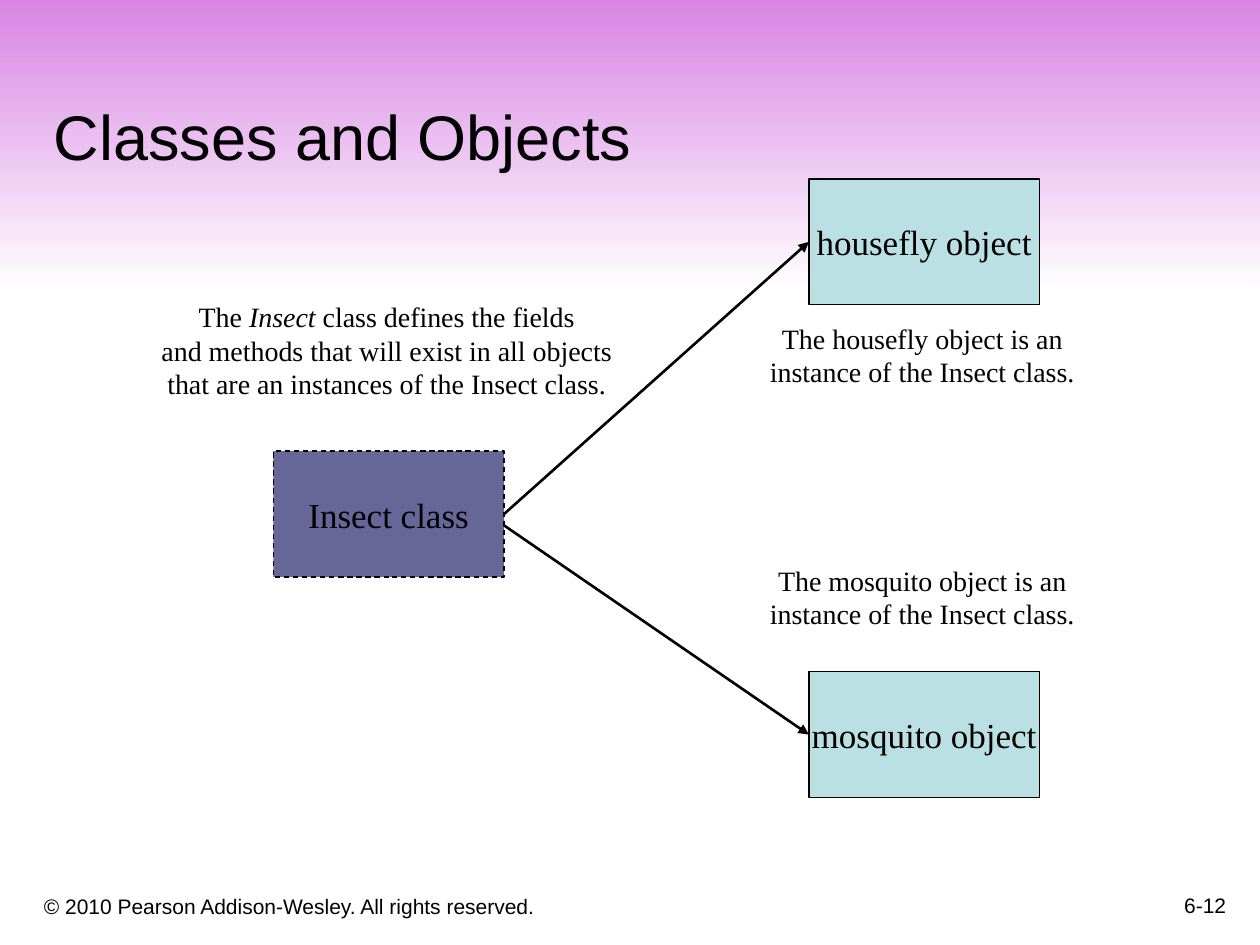
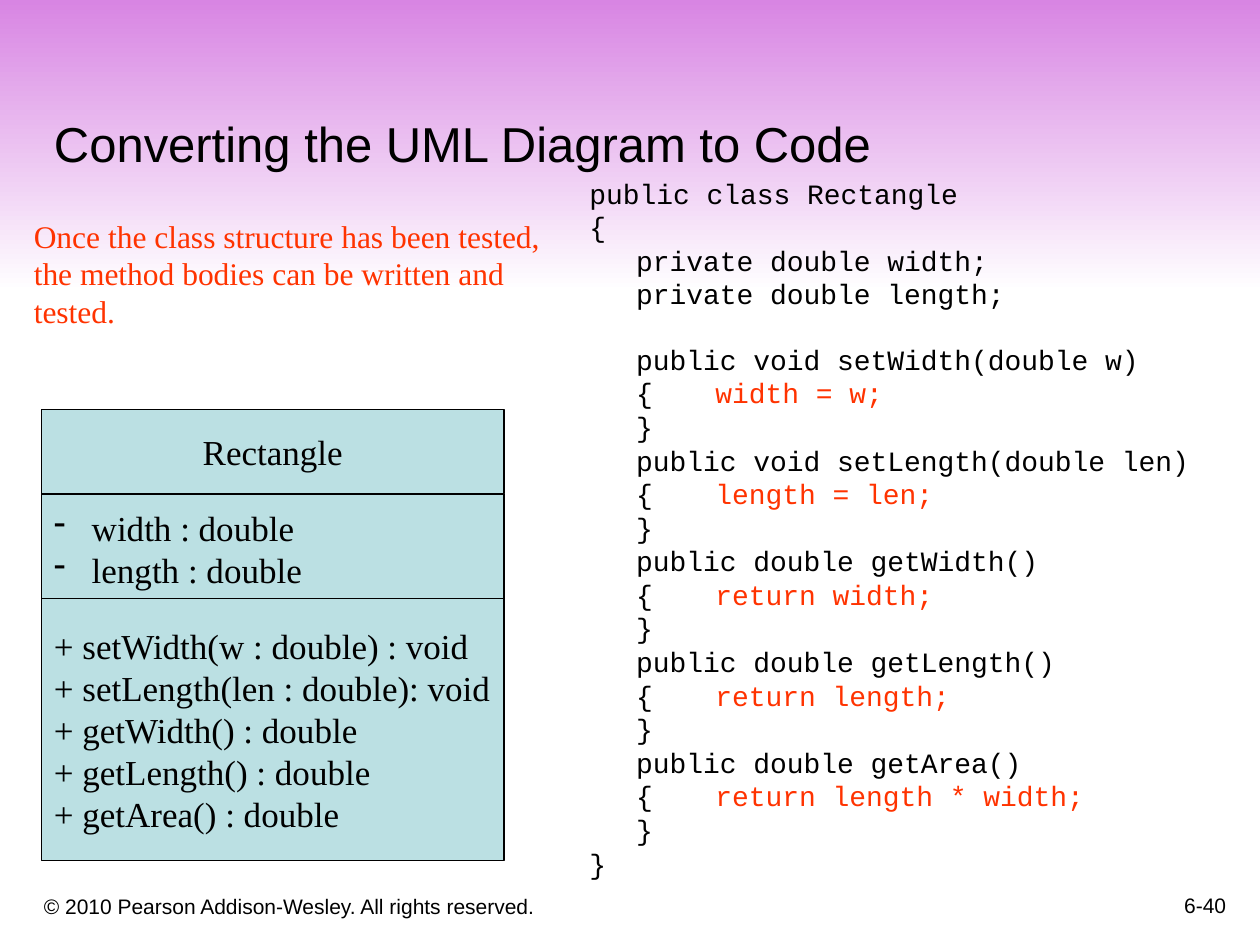
from lxml.etree import SubElement
from pptx import Presentation
from pptx.dml.color import RGBColor
from pptx.enum.dml import MSO_LINE
from pptx.enum.shapes import MSO_CONNECTOR, MSO_SHAPE
from pptx.enum.text import MSO_ANCHOR, PP_ALIGN
from pptx.oxml.ns import qn
from pptx.util import Inches, Pt

BLACK = RGBColor(0x00, 0x00, 0x00)
WHITE = RGBColor(0xFF, 0xFF, 0xFF)
RED = RGBColor(0xFF, 0x33, 0x00)
VIOLET = RGBColor(0xD8, 0x85, 0xE3)
SLATE = RGBColor(0x66, 0x66, 0x99)
PALE_BLUE = RGBColor(0xBB, 0xE0, 0xE3)
SANS, SERIF, MONO = "Arial", "Times New Roman", "Courier New"
COPYRIGHT = "© 2010 Pearson Addison-Wesley. All rights reserved."


def add_text(slide, paragraphs, left, top, width, height, size=20, font=SERIF,
             color=BLACK, align=PP_ALIGN.LEFT, anchor=MSO_ANCHOR.TOP, wrap=True,
             fill=None, dash=None, bullet=None, tabs=(), gaps=None):
    """Add a text box, or an outlined box if fill is given.

    A paragraph is a string or a list of (text, color, italic) runs;
    gaps maps a paragraph index to its space before, in points.
    """
    place = [Inches(length) for length in (left, top, width, height)]
    if fill is None:
        shape = slide.shapes.add_textbox(*place)
    else:
        shape = slide.shapes.add_shape(MSO_SHAPE.RECTANGLE, *place)
        shape.shadow.inherit = False
        shape.fill.solid()
        shape.fill.fore_color.rgb = fill
        shape.line.color.rgb = BLACK
        shape.line.width = Pt(0.75)
        if dash:
            shape.line.dash_style = dash
    frame = shape.text_frame
    frame.word_wrap = wrap
    frame.vertical_anchor = anchor
    for index, content in enumerate(paragraphs):
        paragraph = frame.add_paragraph() if index else frame.paragraphs[0]
        paragraph.alignment = align
        properties = paragraph._p.get_or_add_pPr()
        if bullet:
            properties.set("marL", str(Inches(0.3)))
            properties.set("indent", str(-Inches(0.3)))
            SubElement(properties, qn("a:buChar"), char=bullet)
        if tabs:
            tab_list = SubElement(properties, qn("a:tabLst"))
            for tab in tabs:
                SubElement(tab_list, qn("a:tab"), pos=str(Inches(tab)), algn="l")
        if gaps and index in gaps:
            paragraph.space_before = Pt(gaps[index])
        runs = [(content, color, False)] if isinstance(content, str) else content
        for text, run_color, italic in runs:
            run = paragraph.add_run()
            run.text = text
            run.font.name = font
            run.font.size = Pt(size)
            run.font.italic = italic
            run.font.color.rgb = run_color
    return shape


def add_base_slide(presentation, title, title_size, number):
    """Add a slide with the gradient band, title and footer."""
    slide = presentation.slides.add_slide(presentation.slide_layouts[6])
    slide.background.fill.solid()
    slide.background.fill.fore_color.rgb = WHITE
    band = slide.shapes.add_shape(MSO_SHAPE.RECTANGLE, 0, 0, Inches(10), Inches(2.32))
    band.shadow.inherit = False
    band.line.fill.background()
    band.fill.gradient()
    band.fill.gradient_angle = 270
    for stop, color in zip(band.fill.gradient_stops, (VIOLET, WHITE)):
        stop.color.rgb = color
    bottom = dict(font=SANS, anchor=MSO_ANCHOR.BOTTOM)
    add_text(slide, [COPYRIGHT], 0.25, 6.92, 6.08, 0.42, size=12, **bottom)
    add_text(slide, [number], 7.75, 6.83, 2.08, 0.5, size=12, align=PP_ALIGN.RIGHT, **bottom)
    add_text(slide, [title], 0.33, 0.33, 9.42, 1.09, size=title_size, **bottom)
    return slide


presentation = Presentation()
presentation.slide_width = Inches(10)
presentation.slide_height = Inches(7.5)

# Slide 1: one class, two objects
slide = add_base_slide(presentation, "Classes and Objects", 36, "6-12")
centered = dict(align=PP_ALIGN.CENTER, wrap=False)
insect_class = add_text(slide, ["Insect class"], 2.17, 3.58, 1.83, 1, fill=SLATE,
                        dash=MSO_LINE.DASH, anchor=MSO_ANCHOR.MIDDLE, **centered)
add_text(slide, [
    [("The ", BLACK, False), ("Insect", BLACK, True),
     (" class defines the fields", BLACK, False)],
    "and methods that will exist in all objects",
    "that are an instances of the Insect class.",
], 1.17, 2.33, 3.8, 0.9, size=16, **centered)

for name, box_top, note_top, arrow_start in (
    ("housefly", 1.42, 2.5, 4.08),
    ("mosquito", 5.33, 4.42, 4.17),
):
    object_box = add_text(slide, [f"{name} object"], 6.42, box_top, 1.83, 1,
                          fill=PALE_BLUE, anchor=MSO_ANCHOR.MIDDLE, **centered)
    arrow = slide.shapes.add_connector(MSO_CONNECTOR.STRAIGHT, Inches(4), Inches(arrow_start),
                                       Inches(6.42), Inches(box_top + 0.5))
    if name == "housefly":
        arrow.begin_connect(insect_class, 3)
    arrow.end_connect(object_box, 1)
    arrow.line.color.rgb = BLACK
    arrow.line.width = Pt(1.5)
    SubElement(arrow.line._get_or_add_ln(), qn("a:tailEnd"), type="triangle")
    SubElement(arrow._element.spPr, qn("a:effectLst"))
    add_text(slide, [f"The {name} object is an", "instance of the Insect class."],
             6.01, note_top, 2.62, 0.64, size=16, **centered)

# Slide 2: class diagram and its code
slide = add_base_slide(presentation, "Converting the UML Diagram to Code", 28, "6-40")
code = ["public class Rectangle", "{", "\tprivate double width;", "\tprivate double length;"]
first_method = len(code)
for signature, body in (
    ("void setWidth(double w)", "width = w;"),
    ("void setLength(double len)", "length = len;"),
    ("double getWidth()", "return width;"),
    ("double getLength()", "return length;"),
    ("double getArea()", "return length * width;"),
):
    code += [f"\tpublic {signature}", [("\t{\t", BLACK, False), (body, RED, False)], "\t}"]
code.append("}")
add_text(slide, code, 4.58, 1.35, 5.25, 5.97, size=16, font=MONO,
         tabs=(0.37, 1, 2, 3, 4), gaps={first_method: 18.1})

# Class diagram compartments
compartment = dict(fill=PALE_BLUE, anchor=MSO_ANCHOR.MIDDLE, wrap=False)
add_text(slide, ["Rectangle"], 0.33, 3.25, 3.67, 0.67, align=PP_ALIGN.CENTER, **compartment)
add_text(slide, ["width : double", "length : double"], 0.33, 3.92, 3.67, 0.86,
         bullet="-", **compartment)
add_text(slide, [
    "+ setWidth(w : double) : void",
    "+ setLength(len : double): void",
    "+ getWidth() : double",
    "+ getLength() : double",
    "+ getArea() : double",
], 0.33, 4.75, 3.67, 2.08, **compartment)

# Remark on the method bodies
add_text(slide, ["Once the class structure has been tested, the method bodies "
                 "can be written and tested."], 0.17, 1.67, 4.36, 1, size=18, color=RED)

presentation.save("out.pptx")
